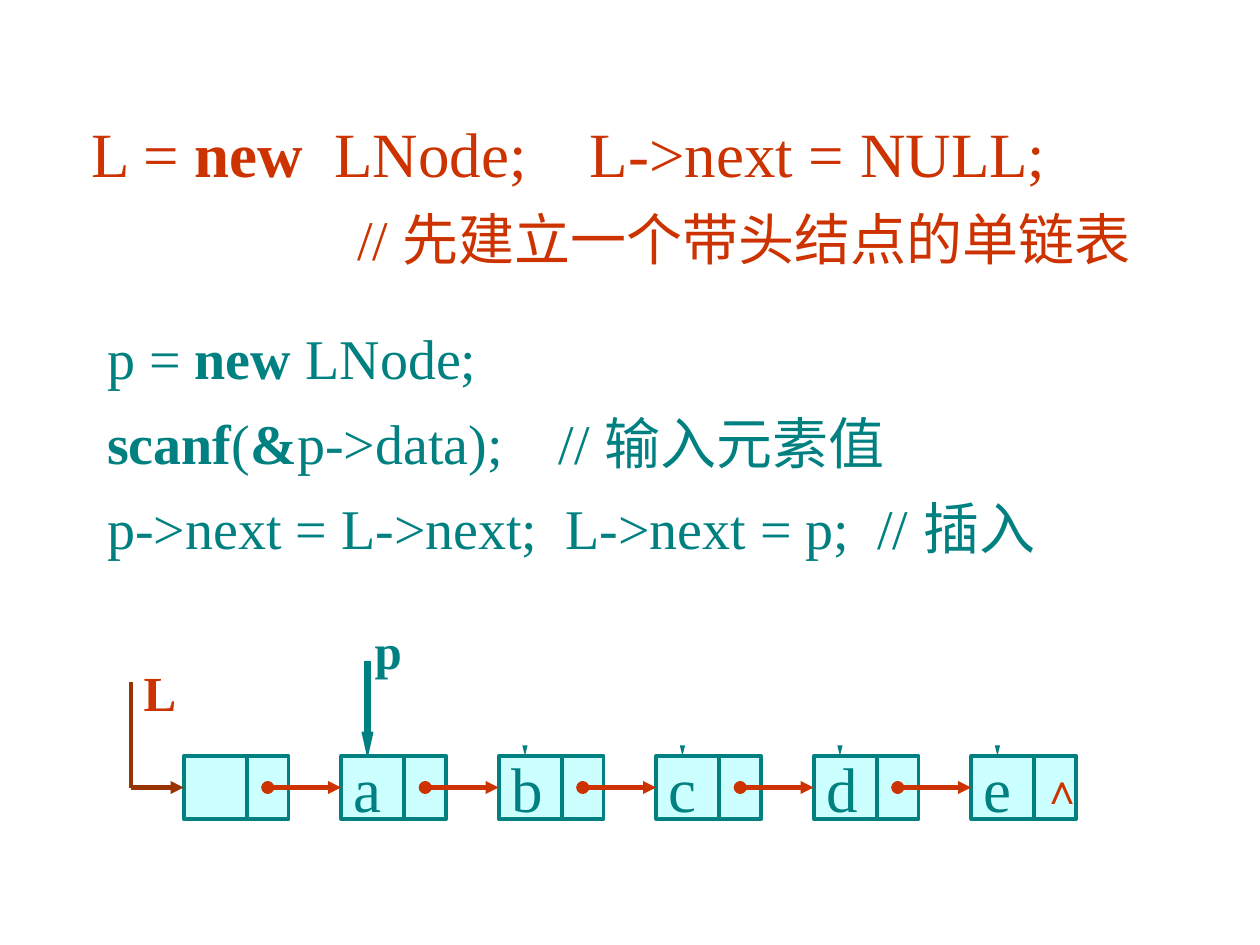
from lxml import etree
from pptx import Presentation
from pptx import util as u
from pptx.dml.color import RGBColor
from pptx.enum import shapes as s, text as t
from pptx.oxml.ns import qn

COLORS = {"teal": "008080", "cyan": "CCFFFF", "red": "CC3300", "brown": "993300"}
FONT = "Times New Roman"
GRID = u.Inches(1) / 24  # the slide is 240 columns by 180 rows

NODE_W, NODE_H, NODE_STEP = 20, 12, 30
DATA_W = 12  # data cell; the rest of a node is its pointer cell
FIRST_LEFT, LIST_TOP = 35, 144
MIDDLE = LIST_TOP + NODE_H / 2
HEAD_LEFT = 25
POINTER_LEFT = FIRST_LEFT + NODE_STEP + 4


def cells(*values):
    return [round(value * GRID) for value in values]


def color(name):
    return RGBColor.from_string(COLORS[name])


def write(shape, lines, ink, wrap=True, anchor=t.MSO_ANCHOR.TOP):
    """Each line is (paragraph format, [(text, size, bold), ...])."""
    frame = shape.text_frame
    frame.auto_size = t.MSO_AUTO_SIZE.NONE
    frame.word_wrap, frame.vertical_anchor = wrap, anchor
    for number, (layout, runs) in enumerate(lines):
        line = frame.paragraphs[0] if number == 0 else frame.add_paragraph()
        properties = line._p.get_or_add_pPr()
        properties.set("marL", str(layout.get("indent", 0)))
        properties.set("indent", "0")
        etree.SubElement(properties, qn("a:buNone"))
        line.alignment = t.PP_ALIGN.LEFT
        line.space_before = layout.get("before", u.Pt(0))
        line.line_spacing = layout.get("spacing", 1.0)
        for words, size, bold in runs:
            run = line.add_run()
            run.text = words
            for key, value in {"name": FONT, "size": u.Pt(size), "bold": bold}.items():
                setattr(run.font, key, value)
            run.font.color.rgb = color(ink)


def connect(start, end, ink, width, head=None, tail=None):
    line = slide.shapes.add_connector(s.MSO_CONNECTOR.STRAIGHT, *cells(*start, *end))
    line.line.color.rgb, line.line.width = color(ink), u.Pt(width)
    for tag, kind in (("a:headEnd", head), ("a:tailEnd", tail)):
        if kind:
            etree.SubElement(line.line._get_or_add_ln(), qn(tag), type=kind)
    etree.SubElement(line._element.spPr, qn("a:effectLst"))
    return line


deck = Presentation()
deck.slide_width, deck.slide_height = u.Inches(10), u.Inches(7.5)
slide = deck.slides.add_slide(deck.slide_layouts[1])

# Code: create the empty list, then insert each new node at its head
create, insert = slide.shapes.title, slide.placeholders[1]
for block, box in ((create, (15, 16, 212, 37)), (insert, (18, 60.5, 206, 47))):
    block.left, block.top, block.width, block.height = cells(*box)

write(create, [
    ({"spacing": 1.2}, [("L = ", 36, False), ("new", 36, True),
                        ("  LNode;    L->next = NULL;", 36, False), (" ", 40, False)]),
    ({"spacing": 1.2, "indent": u.Inches(2.11)},
     [("// 先建立一个带头结点的单链表", 32, False)]),
], "red", wrap=False)

later = {"before": u.Pt(10)}
write(insert, [
    ({}, [("p = ", 32, False), ("new", 32, True), (" LNode;", 32, False)]),
    (later, [("scanf", 32, True), ("(", 32, False), ("&", 32, True),
             ("p->data);    // 输入元素值", 32, False)]),
    (later, [("p->next = L->next;  L->next = p;  // 插入", 32, False)]),
], "teal")

# Linked list: an empty head node followed by the data nodes
nodes = []
for position, value in enumerate(["", "a", "b", "c", "d", "e"]):
    left = FIRST_LEFT + position * NODE_STEP
    node = slide.shapes.add_shape(s.MSO_SHAPE.RECTANGLE,
                                  *cells(left, LIST_TOP, NODE_W, NODE_H))
    node.shadow.inherit = False
    node.fill.solid()
    node.fill.fore_color.rgb = color("cyan")
    node.line.color.rgb, node.line.width = color("teal"), u.Pt(2)
    if value:
        write(node, [({}, [(value, 36, False)])], "teal", False, t.MSO_ANCHOR.MIDDLE)
    divider = left + DATA_W
    connect((divider, LIST_TOP), (divider, LIST_TOP + NODE_H), "teal", 2)
    nodes.append(node)

for position, following in enumerate(nodes[1:]):
    left = FIRST_LEFT + position * NODE_STEP
    link = connect((left + 16, MIDDLE), (left + NODE_STEP, MIDDLE),
                   "red", 2.5, "oval", "triangle")
    link.end_connect(following, 1)

# Head pointer L
connect((HEAD_LEFT, 130), (HEAD_LEFT, MIDDLE), "brown", 2.5)
entry = connect((HEAD_LEFT, MIDDLE), (FIRST_LEFT, MIDDLE), "brown", 2.5, tail="triangle")
entry.end_connect(nodes[0], 1)

# Pointer p above the newest node, and the arrow tips above the older ones
pointers = [(s.MSO_SHAPE.DOWN_ARROW, (POINTER_LEFT, 126, 2, 18))]
pointers += [(s.MSO_SHAPE.FLOWCHART_MERGE,
              (POINTER_LEFT + 0.5 + step * NODE_STEP, 142, 1, 2)) for step in range(1, 5)]
for kind, box in pointers:
    pointer = slide.shapes.add_shape(kind, *cells(*box))
    pointer.shadow.inherit = False
    pointer.fill.solid()
    pointer.fill.fore_color.rgb = color("teal")
    if kind == s.MSO_SHAPE.DOWN_ARROW:
        pointer.adjustments[1] = 2.25
        pointer.line.color.rgb, pointer.line.width = color("teal"), u.Pt(0.75)
    else:
        pointer.line.fill.background()

for label, box, size, ink in (("L", (HEAD_LEFT, 125, 14, 14), 28, "red"),
                              ("p", (POINTER_LEFT, 117, 10, 14), 28, "teal"),
                              ("∧", (196, LIST_TOP, 11, NODE_H), 24, "red")):
    write(slide.shapes.add_textbox(*cells(*box)), [({}, [(label, size, True)])],
          ink, wrap=False)

deck.save("out.pptx")
